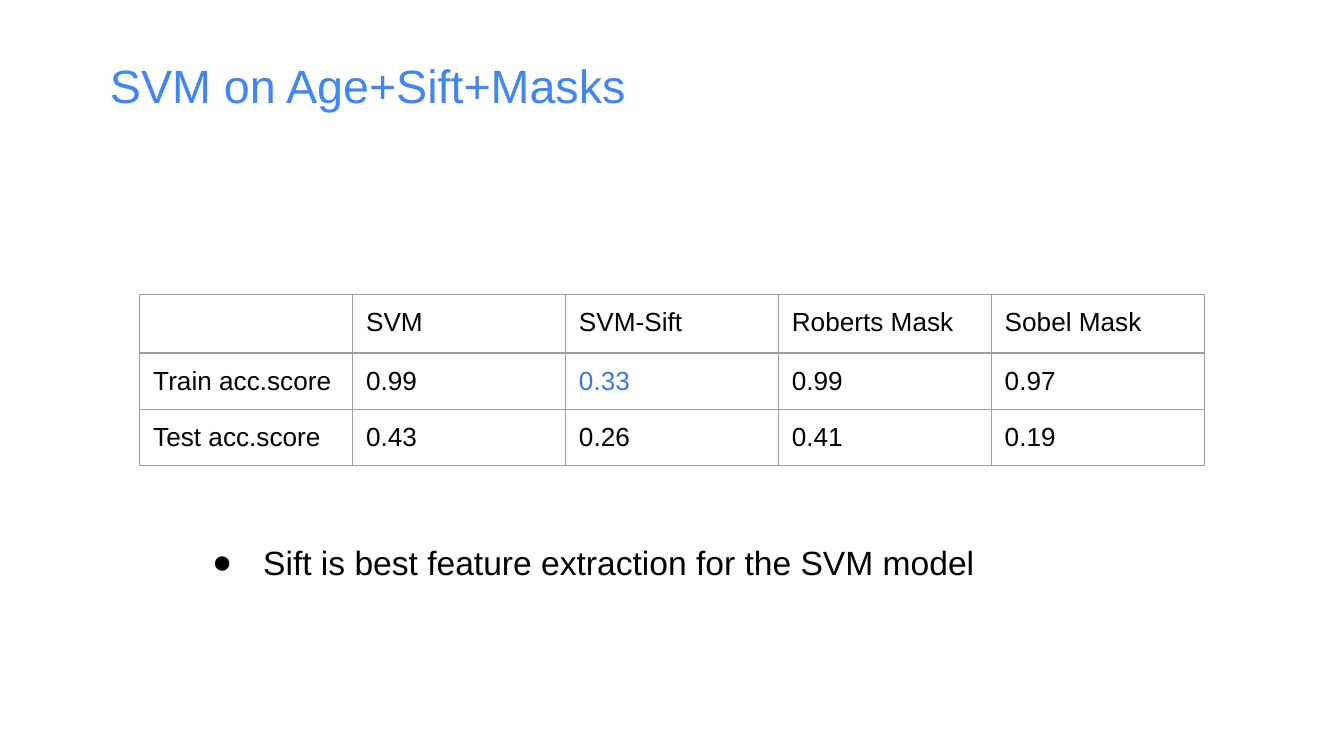
from lxml.etree import SubElement
from pptx import Presentation
from pptx.dml.color import RGBColor
from pptx.oxml.ns import qn
from pptx.util import Inches, Pt

COLORS = {
    "title": "4285F4",
    "text": "000000",
    "highlight": "3C78D8",
    "border": "9E9E9E",
}
INSET = Inches(0.1)


def add_run(paragraph, text, size, color):
    run = paragraph.add_run()
    run.text = text
    run.font.name = "Arial"
    run.font.size = Pt(size)
    run.font.color.rgb = RGBColor.from_string(COLORS[color])


def add_text_box(slide, left, top, width, height):
    frame = slide.shapes.add_textbox(
        Inches(left), Inches(top), Inches(width), Inches(height)
    ).text_frame
    frame.word_wrap = True
    frame.margin_left = frame.margin_right = INSET
    frame.margin_top = frame.margin_bottom = INSET
    return frame.paragraphs[0]


presentation = Presentation()
presentation.slide_width = Inches(10)
presentation.slide_height = Inches(10) * 9 // 16
slide = presentation.slides.add_slide(presentation.slide_layouts[6])

scores = [
    ["", "SVM", "SVM-Sift", "Roberts Mask", "Sobel Mask"],
    ["Train acc.score", "0.99", "0.33", "0.99", "0.97"],
    ["Test acc.score", "0.43", "0.26", "0.41", "0.19"],
]
table = slide.shapes.add_table(
    len(scores), len(scores[0]),
    Inches(1.04), Inches(2.19), Inches(7.92), Inches(1.26),
).table
table.first_row = False
table.horz_banding = False

for row_index, row in enumerate(scores):
    table.rows[row_index].height = Inches(0.42)
    for column_index, text in enumerate(row):
        cell = table.cell(row_index, column_index)
        cell.margin_left = cell.margin_right = INSET
        cell.margin_top = cell.margin_bottom = INSET
        properties = cell._tc.get_or_add_tcPr()
        for side in ("a:lnL", "a:lnR", "a:lnT", "a:lnB"):
            border = SubElement(properties, qn(side), w=str(Pt(0.75)))
            fill = SubElement(border, qn("a:solidFill"))
            SubElement(fill, qn("a:srgbClr"), val=COLORS["border"])
        cell.fill.background()
        paragraph = cell.text_frame.paragraphs[0]
        if text:
            color = "highlight" if text == "0.33" else "text"
            add_run(paragraph, text, 14, color)
        else:
            SubElement(paragraph._p, qn("a:endParaRPr"), sz="1400")

title = add_text_box(slide, 0.72, 0.32, 8.23, 0.62)
add_run(title, "SVM on Age+Sift+Masks", 25, "title")

conclusion = add_text_box(slide, 1.36, 3.93, 6.01, 0.5)
properties = conclusion._p.get_or_add_pPr()
properties.set("marL", str(Inches(0.5)))
properties.set("indent", str(Inches(-0.38)))
bullet_color = SubElement(properties, qn("a:buClr"))
SubElement(bullet_color, qn("a:srgbClr"), val=COLORS["text"])
SubElement(properties, qn("a:buFont"), typeface="Arial")
SubElement(properties, qn("a:buChar"), char="●")
add_run(conclusion, "Sift is best feature extraction for the SVM model", 18, "text")

presentation.save("out.pptx")
